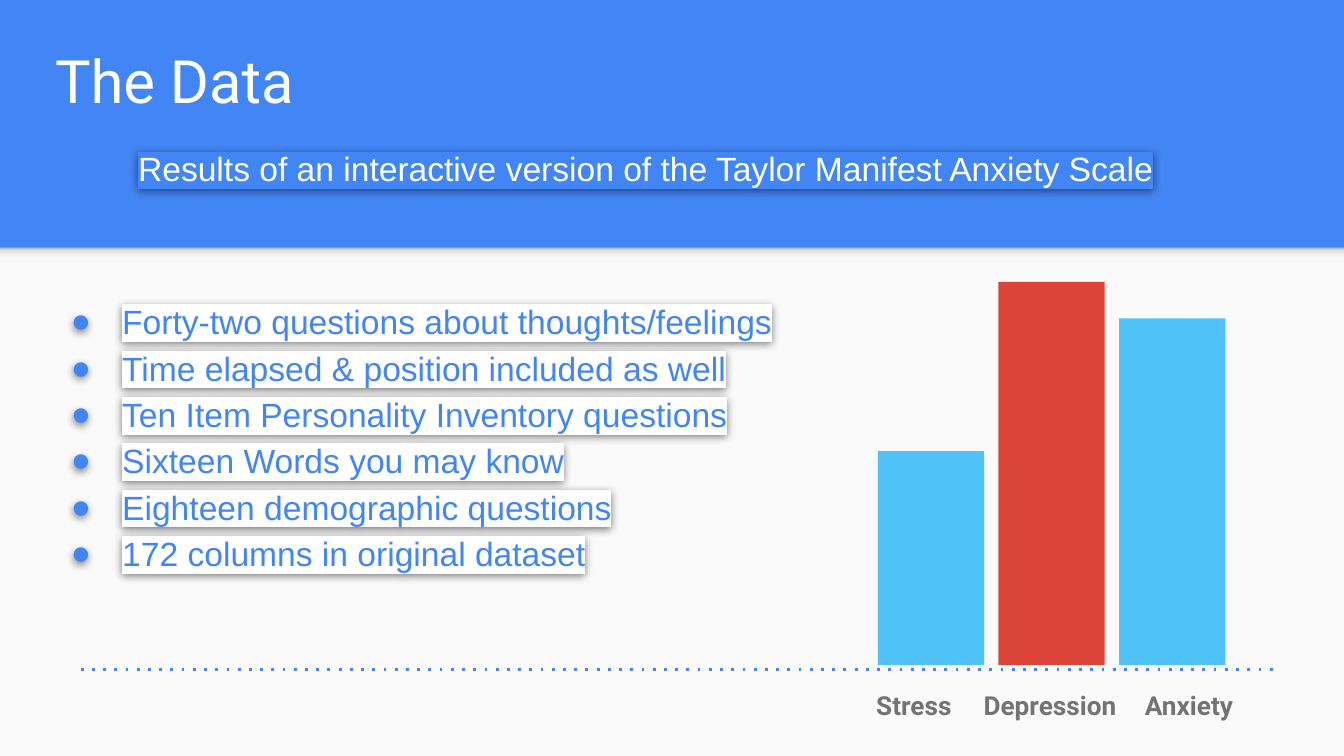
from lxml.etree import SubElement as Sub
from pptx import Presentation
from pptx.dml.color import RGBColor
from pptx.enum.shapes import MSO_CONNECTOR as Link, MSO_SHAPE as Kind
from pptx.enum.text import MSO_ANCHOR as Anchor, MSO_AUTO_SIZE as Auto, PP_ALIGN as Align
from pptx.oxml.ns import qn
from pptx.util import Cm, Pt

BLUE, SKY, RED, WHITE = "4285F4", "4FC3F7", "DB4437", "FFFFFF"
ITEMS = [
    "Forty-two questions about thoughts/feelings",
    "Time elapsed & position included as well",
    "Ten Item Personality Inventory questions",
    "Sixteen Words you may know",
    "Eighteen demographic questions",
    "172 columns in original dataset",
]
BARS = [("Stress", 4.04, SKY, 2.03), ("Depression", 7.24, RED, 3.05), ("Anxiety", 6.55, SKY, 2.24)]
FADE = [(0, "F9F9F9"), (36, "F9F9F9"), (80, "DEDEDE"), (100, "999999")]


def color(code):
    """Turn a hex string into a colour."""
    return RGBColor.from_string(code)


def node(top, tag, **attrs):
    """Add an XML child with attributes."""
    return Sub(top, qn(tag), {key: str(val) for key, val in attrs.items()})


def style(para, size, face, code, bold=False):
    """Set the font of a paragraph."""
    font = para.font
    font.size, font.name, font.bold = Pt(size), face, bold
    font.color.rgb = color(code)


def place(shape, left, top, width, height):
    """Move a placeholder and fix its text frame."""
    shape.left, shape.top, shape.width, shape.height = map(Cm, (left, top, width, height))
    frame = shape.text_frame
    frame.auto_size, frame.word_wrap = Auto.NONE, True
    frame.margin_left = frame.margin_right = frame.margin_top = frame.margin_bottom = Cm(0.25)
    return frame


def rect(slide, left, top, width, height, code):
    """Draw a plain filled rectangle."""
    shape = slide.shapes.add_shape(Kind.RECTANGLE, Cm(left), Cm(top), Cm(width), Cm(height))
    shape.shadow.inherit = False
    shape.fill.solid()
    shape.fill.fore_color.rgb = color(code)
    shape.line.fill.background()
    return shape


def panel(slide):
    """Draw the pale panel and its fading edge behind the text."""
    base = rect(slide, 0, 4.67, 25.4, 9.62, "FAFAFA")
    edge = rect(slide, 0, 4.67, 25.4, 0.3, "F9F9F9")
    edge.fill.gradient()
    edge.fill.gradient_angle = 90
    stops = edge._element.spPr.find(qn("a:gradFill")).find(qn("a:gsLst"))
    for old in list(stops):
        stops.remove(old)
    for pos, code in FADE:
        node(node(stops, "a:gs", pos=pos * 1000), "a:srgbClr", val=code)
    for spot, shape in enumerate((base, edge), 2):
        slide.shapes._spTree.insert(spot, shape._element)


def title(slide):
    """Fill the title."""
    frame = place(slide.shapes.title, 0.79, 0.3, 22.83, 2.13)
    frame.vertical_anchor = Anchor.BOTTOM
    para = frame.paragraphs[0]
    para.text, para.alignment = "The Data", Align.LEFT
    style(para, 32, "Roboto", WHITE)


def line(para, text, code, mark, gap=0, dot=False):
    """Write a highlighted line, with or without a bullet."""
    run = para.add_run()
    run.text = text
    node(node(run._r.get_or_add_rPr(), "a:highlight"), "a:srgbClr", val=mark)
    props = para._p.get_or_add_pPr()
    props.set("marL", str(Cm(1.27) if dot else 0))
    props.set("indent", str(-Cm(0.97) if dot else 0))
    if dot:
        node(node(props, "a:buClr"), "a:srgbClr", val=BLUE)
        node(props, "a:buFont", typeface="Arial")
        node(props, "a:buChar", char="●")
    else:
        node(props, "a:buNone")
    para.alignment = Align.LEFT if dot else Align.CENTER
    para.line_spacing, para.space_before, para.space_after = 1.15, Pt(gap), Pt(0)
    style(para, 18, "Arial", code)


def body(slide):
    """Fill the subtitle and list, with a soft shadow."""
    shape = slide.placeholders[1]
    frame = place(shape, 0.79, 2.44, 22.83, 7.52)
    frame.vertical_anchor = Anchor.TOP
    line(frame.paragraphs[0], "Results of an interactive version of the Taylor Manifest Anxiety Scale",
         WHITE, BLUE)
    for spot, item in enumerate(ITEMS):
        line(frame.add_paragraph(), item, BLUE, WHITE, 0 if spot else 57, True)
    glow = node(node(shape._element.spPr, "a:effectLst"), "a:outerShdw",
                blurRad=Pt(4.5), dist=Pt(1.5), dir=5400000, algn="bl", rotWithShape=0)
    node(node(glow, "a:srgbClr", val="000000"), "a:alpha", val=50000)


def labels(slide):
    """Name the bars in a one-row table."""
    frame = slide.shapes.add_table(1, len(BARS), Cm(16.31), Cm(12.73), Cm(7.32), Cm(0.66))
    grid = frame.table
    grid.first_row = grid.horz_banding = False
    grid._tbl.tblPr[0].text = "{2D5ABB26-0587-4C30-8999-92F81FD0307C}"
    for spot, (name, _, _, width) in enumerate(BARS):
        grid.columns[spot].width = Cm(width)
        cell = grid.cell(0, spot)
        cell.fill.background()
        cell.margin_left = cell.margin_right = cell.margin_top = cell.margin_bottom = Cm(0.25)
        para = cell.text_frame.paragraphs[0]
        para.text, para.line_spacing = name, 1.15
        style(para, 14, "Roboto", "737373", True)


def axis(slide):
    """Draw the dotted base line."""
    rule = slide.shapes.add_connector(Link.STRAIGHT, Cm(24.05), Cm(12.65), Cm(1.42), Cm(12.65))
    rule.line.width = Pt(1.5)
    rule.line.color.rgb = color(BLUE)
    node(rule.line._get_or_add_ln(), "a:prstDash", val="dot")
    node(rule._element.spPr, "a:effectLst")


def main():
    """Build the slide."""
    deck = Presentation()
    deck.slide_width, deck.slide_height = Cm(25.4), Cm(14.29)
    slide = deck.slides.add_slide(deck.slide_layouts[1])
    back = slide.background.fill
    back.solid()
    back.fore_color.rgb = color(BLUE)
    panel(slide)
    title(slide)
    body(slide)
    labels(slide)
    for spot, (_, tall, code, _) in enumerate(BARS):
        rect(slide, 16.59 + 2.28 * spot, 12.57 - tall, 2.01, tall, code)
    axis(slide)
    deck.save("out.pptx")


if __name__ == "__main__":
    main()
